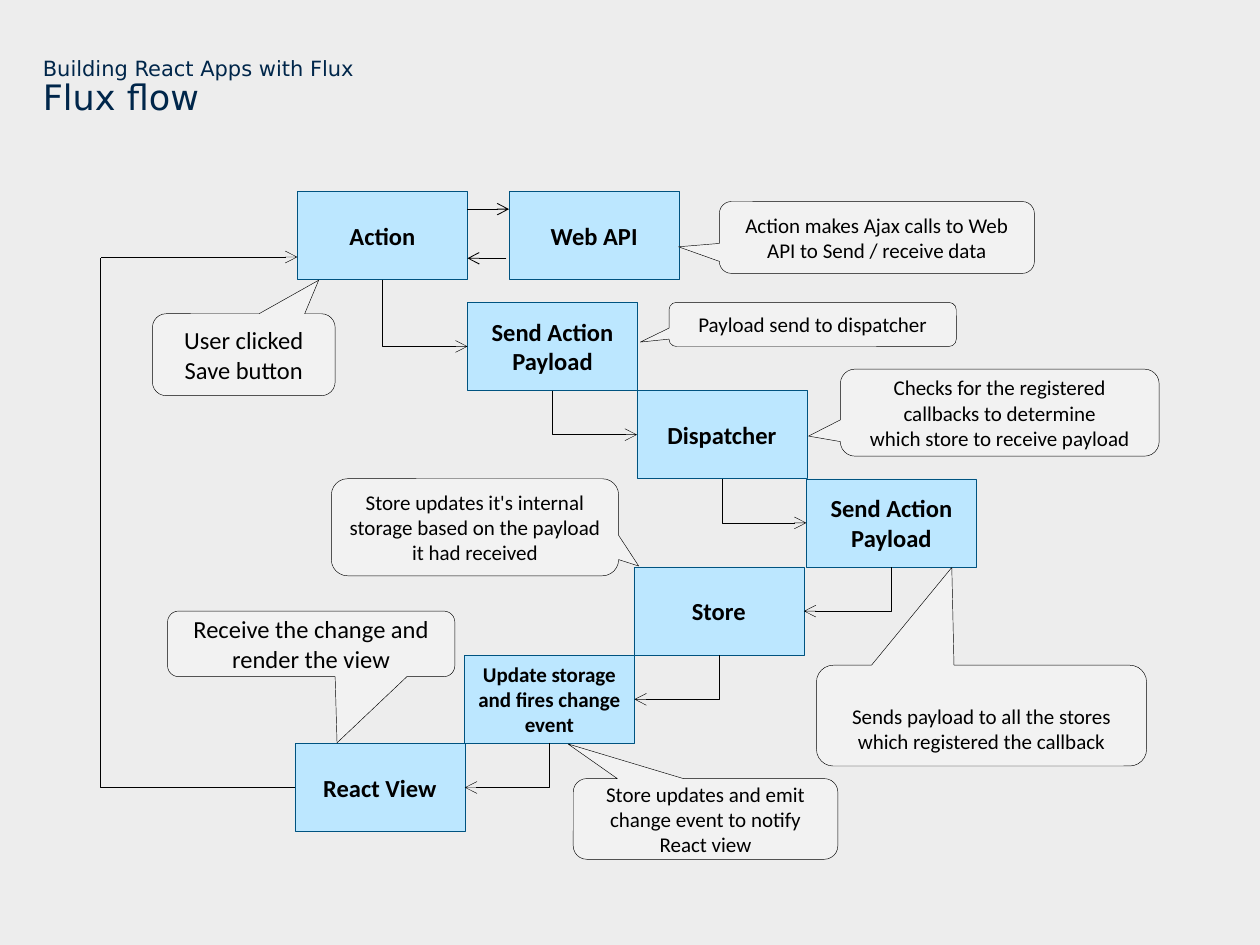
import lxml.etree
import pptx
import pptx.dml.color
import pptx.enum.shapes
import pptx.enum.text
import pptx.oxml.ns
import pptx.util

Inches = pptx.util.Inches
Pt = pptx.util.Pt
Shapes = pptx.enum.shapes.MSO_SHAPE
Connectors = pptx.enum.shapes.MSO_CONNECTOR
qn = pptx.oxml.ns.qn
TOP, LEFT, BOTTOM, RIGHT = range(4)


def rgb(value):
    return pptx.dml.color.RGBColor.from_string(value)


class FlowSlide:
    font = "Calibri"
    title_font = "DejaVu Sans"
    ink = "000000"
    title_ink = "00264A"
    step_fill, step_line = "BCE7FF", "005380"
    note_fill = "F2F2F2"
    step_width, step_height = 1.35, 0.7

    def __init__(self, slide, background):
        self.slide = slide
        slide.background.fill.solid()
        slide.background.fill.fore_color.rgb = rgb(background)

    def style_run(self, run, size, font, color, bold=False):
        run.font.size = Pt(size)
        run.font.name = font
        run.font.bold = bold
        run.font.color.rgb = rgb(color)

    def title(self, lines, sizes):
        heading = self.slide.shapes.add_textbox(
            Inches(0.34), Inches(0.46), Inches(9.09), Inches(0.94))
        frame = heading.text_frame
        frame.word_wrap = True
        frame.margin_left = frame.margin_top = 0
        frame.margin_right = frame.margin_bottom = 0
        frame.text = "\n".join(lines)
        for paragraph, size in zip(frame.paragraphs, sizes):
            paragraph.line_spacing = 0.9
            self.style_run(paragraph.runs[0], size, self.title_font, self.title_ink)

    def panel(self, kind, place, text, size, fill, line, bold=False):
        panel = self.slide.shapes.add_shape(kind, *map(Inches, place))
        panel.shadow.inherit = False
        panel.fill.solid()
        panel.fill.fore_color.rgb = rgb(fill)
        panel.line.color.rgb = rgb(line)
        panel.line.width = Pt(0.25)
        frame = panel.text_frame
        frame.word_wrap = True
        frame.vertical_anchor = pptx.enum.text.MSO_ANCHOR.MIDDLE
        frame.text = text
        for paragraph in frame.paragraphs:
            paragraph.alignment = pptx.enum.text.PP_ALIGN.CENTER
            for run in paragraph.runs:
                self.style_run(run, size, self.font, self.ink, bold)
        return panel

    def step(self, left, top, text, size=14):
        place = (left, top, self.step_width, self.step_height)
        return self.panel(Shapes.RECTANGLE, place, text, size,
                          self.step_fill, self.step_line, bold=True)

    def callout(self, place, tip, text, size=12):
        note = self.panel(Shapes.ROUNDED_RECTANGULAR_CALLOUT, place, text, size,
                          self.note_fill, self.ink)
        note.adjustments[0], note.adjustments[1] = tip
        note.adjustments[2] = 0.167
        return note

    def connector(self, kind, start, end, width, arrow=True):
        link = self.slide.shapes.add_connector(kind, *map(Inches, start + end))
        link.line.color.rgb = rgb(self.ink)
        link.line.width = Pt(width)
        if arrow:
            lxml.etree.SubElement(link.line._get_or_add_ln(), qn("a:tailEnd"), type="arrow")
        lxml.etree.SubElement(link._element.spPr, qn("a:effectLst"))
        return link

    def arrow(self, start, end, width=0.5):
        return self.connector(Connectors.STRAIGHT, start, end, width)

    def single_bend(self, link, degrees, flip=False):
        width, height = link.width, link.height
        if degrees != 180:
            link.left += (width - height) // 2
            link.top += (height - width) // 2
            link.width, link.height = height, width
        shape_properties = link._element.spPr
        shape_properties.find(qn("a:prstGeom")).set("prst", "bentConnector2")
        transform = shape_properties.find(qn("a:xfrm"))
        transform.set("rot", str(degrees * 60000))
        transform.set("flipH", str(int(flip)))
        transform.set("flipV", "0")

    def down_then_across(self, source, target):
        rightward = target.left > source.left
        link = self.connector(Connectors.ELBOW, (0, 0), (1, 1), 0.25)
        link.begin_connect(source, BOTTOM)
        link.end_connect(target, LEFT if rightward else RIGHT)
        self.single_bend(link, 270 if rightward else 90, flip=rightward)

    def left_then_up(self, source, end):
        link = self.connector(Connectors.ELBOW, (2.34, 6.25), end, 0.5, arrow=False)
        link.begin_connect(source, LEFT)
        self.single_bend(link, 180)


def main():
    deck = pptx.Presentation()
    deck.slide_width, deck.slide_height = Inches(10), Inches(7.5)
    flow = FlowSlide(deck.slides.add_slide(deck.slide_layouts[6]), "EDEDED")
    flow.title(["Building React Apps with Flux", "Flux flow"], [12, 20])

    action = flow.step(2.36, 1.52, "Action")
    flow.step(4.04, 1.52, "Web API")
    chain = [action]
    outward = ["Send Action\nPayload", "Dispatcher", "Send Action\nPayload"]
    for index, text in enumerate(outward):
        chain.append(flow.step(3.71 + 1.345 * index, 2.4 + 0.7 * index, text))
    homeward = [("Store", 14), ("Update storage\nand fires change event", 12),
                ("React View", 14)]
    for index, (text, size) in enumerate(homeward):
        chain.append(flow.step(5.03 - 1.345 * index, 4.5 + 0.7 * index, text, size))

    for source, target in zip(chain, chain[1:]):
        flow.down_then_across(source, target)
    flow.left_then_up(chain[-1], (0.8, 2.05))
    flow.arrow((0.8, 2.04), (2.36, 2.04), 0.25)
    flow.arrow((3.71, 1.66), (4.04, 1.66))
    flow.arrow((4.02, 2.05), (3.71, 2.05))

    flow.callout((1.21, 2.49, 1.45, 0.65), (0.41, -0.91), "User clicked Save button", 14)
    flow.callout((5.31, 2.4, 2.28, 0.35), (-0.6, 0.4), "Payload send to dispatcher")
    flow.callout((6.67, 2.93, 2.53, 0.69), (-0.6, 0.27),
                 "Checks for the registered\ncallbacks to determine\n"
                 "which store to receive payload")
    broadcast = flow.callout((6.48, 5.28, 2.62, 0.8), (-0.09, -1.47),
                             "Sends payload to all the stores which registered the callback")
    broadcast.text_frame.margin_top = Inches(0.25)
    flow.callout((2.63, 3.8, 2.28, 0.77), (0.57, 0.4),
                 "Store updates it's internal storage based on the payload it had received")
    flow.callout((4.55, 6.18, 2.1, 0.64), (-0.52, -0.93),
                 "Store updates and emit change event to notify React view")
    flow.callout((1.33, 4.85, 2.28, 0.52), (0.09, 1.51),
                 "Receive the change and render the view", 14)
    flow.callout((5.71, 1.6, 2.5, 0.57), (-0.63, 0.13),
                 "Action makes Ajax calls to Web API to Send / receive data")
    deck.save("out.pptx")


if __name__ == "__main__":
    main()
